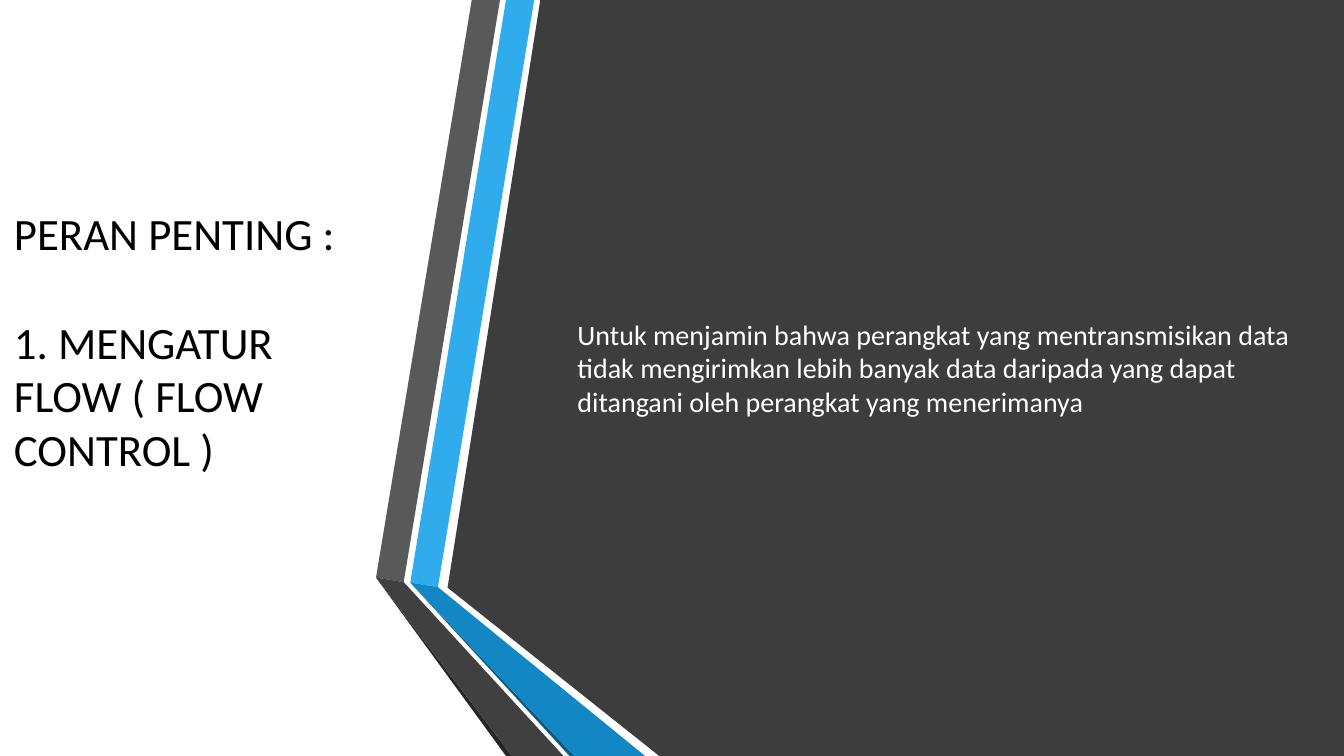
from lxml import etree
from pptx import Presentation
from pptx import util as u
from pptx.dml.color import RGBColor
from pptx.enum import text
from pptx.oxml.ns import qn

COLORS = {
    "panel": "0D0D0D", "white": "FFFFFF", "black": "000000",
    "blue": "30ACEC", "blue_fold": "1287C3", "blue_edge": "0C5A82",
    "grey": "595959", "grey_fold": "404040", "grey_edge": "262626",
}
COLUMNS, ROWS = 133.33, 75


class Deck:
    def __init__(self):
        self.prs = Presentation()
        self.prs.slide_width, self.prs.slide_height = u.Inches(13.33), u.Inches(7.5)
        self.slide = self.prs.slides.add_slide(self.prs.slide_layouts[6])

    def x(self, column):
        return round(self.prs.slide_width * column / COLUMNS)

    def y(self, row):
        return round(self.prs.slide_height * row / ROWS)

    def polygon(self, shapes, points, color, opacity=None):
        corners = [(self.x(column), self.y(row)) for column, row in points]
        builder = shapes.build_freeform(*corners[0])
        builder.add_line_segments(corners[1:], close=True)
        outline = builder.convert_to_shape()
        outline.shadow.inherit = False
        outline.fill.solid()
        outline.fill.fore_color.rgb = RGBColor.from_string(COLORS[color])
        outline.line.fill.background()
        if opacity:
            tint = outline._element.spPr.find(".//" + qn("a:srgbClr"))
            etree.SubElement(tint, qn("a:alpha"), val=str(opacity * 1000))

    def ribbon(self, shapes, hue, foot, edge, fold, end):
        column, row = foot
        inner = (column + 2.75, row + 0.45)
        self.polygon(shapes, [foot, inner, (column + 12.3, 0), (column + 9.5, 0)], hue)
        self.polygon(shapes, [foot, (edge, ROWS), (fold, ROWS)], hue + "_edge")
        self.polygon(shapes, [foot, (fold, ROWS), (end, ROWS), inner], hue + "_fold")

    def words(self, left, top, width, height, paragraphs, size, color, **spacing):
        box = self.slide.shapes.add_textbox(
            self.x(left), self.y(top), self.x(width), self.y(height))
        frame = box.text_frame
        frame.word_wrap = True
        frame.vertical_anchor = text.MSO_ANCHOR.MIDDLE
        frame.text = "\n".join(paragraphs)
        for paragraph in frame.paragraphs:
            for name, value in {"name": "Calibri", "size": u.Pt(size)}.items():
                setattr(paragraph.font, name, value)
            paragraph.font.color.rgb = RGBColor.from_string(COLORS[color])
        for name, points in spacing.items():
            setattr(frame.paragraphs[0], name, u.Pt(points))


deck = Deck()
deck.polygon(
    deck.slide.shapes,
    [(COLUMNS, 0), (COLUMNS, ROWS), (65.4, ROWS), (44.4, 58.3), (53.6, 0)],
    "panel", opacity=80)

ribbons = deck.slide.shapes.add_group_shape().shapes
deck.ribbon(ribbons, "blue", foot=(40.7, 57.8), edge=56.5, fold=57, end=64)
deck.ribbon(ribbons, "grey", foot=(37.3, 57.3), edge=50.2, fold=50.8, end=55.9)

deck.words(
    0.4, 11.7, 39.1, 44.2,
    ["PERAN PENTING :", "1. MENGATUR\vFLOW ( FLOW CONTROL )"],
    32, "black", space_after=39)
deck.words(
    56.3, 11.7, 72.8, 49.5,
    ["Untuk menjamin bahwa perangkat yang mentransmisikan data tidak mengirimkan "
     "lebih banyak data daripada yang dapat ditangani oleh perangkat yang menerimanya"],
    20, "white", space_before=4, space_after=6)

deck.prs.save("out.pptx")
